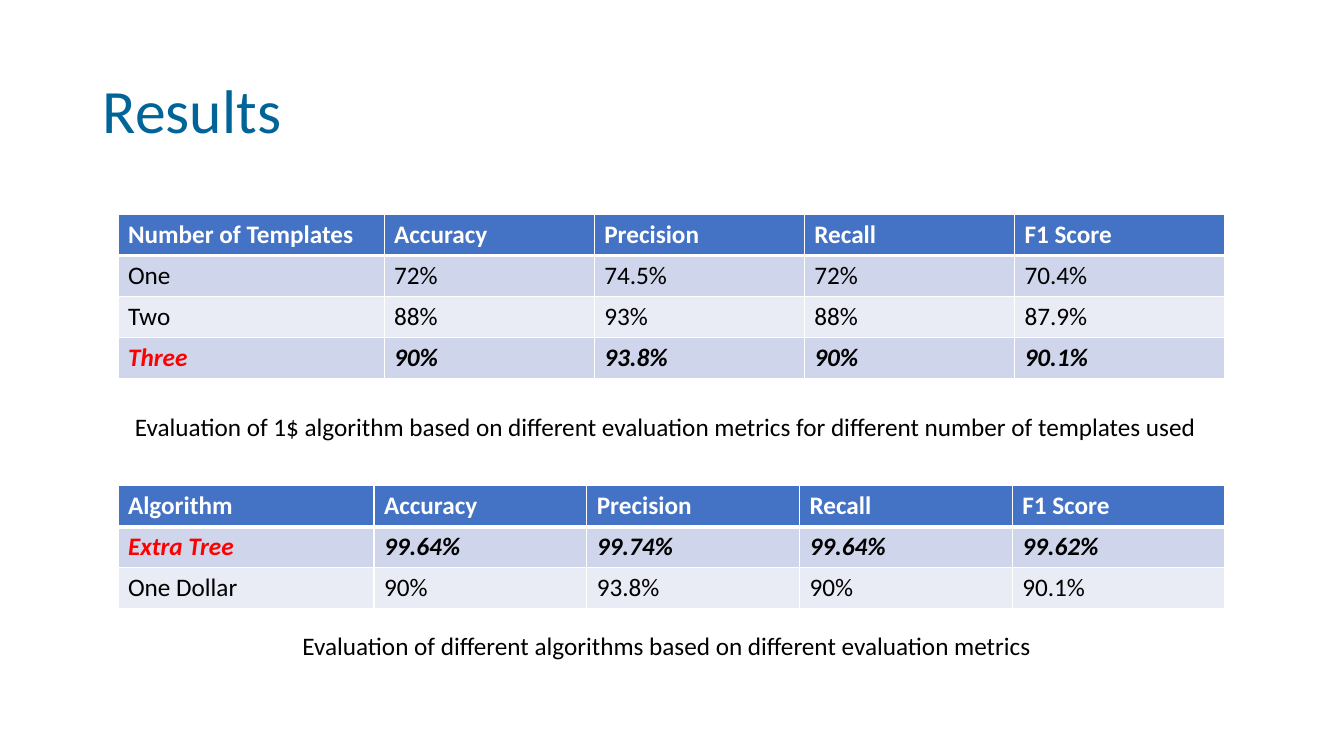
import pptx
import pptx.dml.color
import pptx.enum.text
import pptx.oxml
import pptx.oxml.ns
import pptx.util
from pptx.util import Inches

FONT = "Calibri"
WHITE, BLACK, RED = "FFFFFF", "000000", "FF0000"
TITLE_BLUE, HEADER_BLUE = "006499", "4472C4"
BANDS = ("CFD5EA", "E9EBF5")
ROW_HEIGHT = 0.406
TABLE_LEFT = 1.17
METRICS = ["Accuracy", "Precision", "Recall", "F1 Score"]

TEMPLATE_ROWS = [
    ["Number of Templates"] + METRICS,
    ["One", "72%", "74.5%", "72%", "70.4%"],
    ["Two", "88%", "93%", "88%", "87.9%"],
    ["Three", "90%", "93.8%", "90%", "90.1%"],
]
ALGORITHM_ROWS = [
    ["Algorithm"] + METRICS,
    ["Extra Tree", "99.64%", "99.74%", "99.64%", "99.62%"],
    ["One Dollar", "90%", "93.8%", "90%", "90.1%"],
]


def rgb(color):
    return pptx.dml.color.RGBColor.from_string(color)


def write(frame, text, color=BLACK, size=18, **formats):
    """Put one formatted paragraph in a text frame and return it."""
    para = frame.paragraphs[0]
    span = para.add_run()
    span.text = text
    values = {"name": FONT, "size": pptx.util.Pt(size), **formats}
    for name, value in values.items():
        setattr(span.font, name, value)
    span.font.color.rgb = rgb(color)
    return para


def add_title(page, text):
    title = page.shapes.title
    title.left, title.top = Inches(0.92), Inches(0.4)
    title.width, title.height = Inches(11.5), Inches(1.45)
    title.text_frame.vertical_anchor = pptx.enum.text.MSO_ANCHOR.MIDDLE
    para = write(title.text_frame, text, TITLE_BLUE, 44)
    para.alignment = pptx.enum.text.PP_ALIGN.LEFT
    para.line_spacing = 0.9


def add_caption(page, left, top, width, text):
    box = page.shapes.add_textbox(Inches(left), Inches(top), Inches(width), Inches(0.4))
    box.text_frame.word_wrap = False
    box.text_frame.auto_size = pptx.enum.text.MSO_AUTO_SIZE.SHAPE_TO_FIT_TEXT
    write(box.text_frame, text)


def set_borders(cell, widths):
    """Draw white borders; widths maps each side (L, R, T, B) to points."""
    properties = cell._tc.get_or_add_tcPr()
    namespace = pptx.oxml.ns.nsdecls("a")
    for side, points in widths.items():
        properties.append(pptx.oxml.parse_xml(
            f'<a:ln{side} {namespace} w="{pptx.util.Pt(points)}"><a:solidFill>'
            f'<a:srgbClr val="{WHITE}"/></a:solidFill></a:ln{side}>'))


def add_results_table(page, top, first_width, other_width, rows, best_row):
    """Add a banded table with one row in bold italics and its label in red."""
    widths = [first_width] + [other_width] * len(METRICS)
    frame = page.shapes.add_table(
        len(rows), len(widths), Inches(TABLE_LEFT), Inches(top),
        Inches(sum(widths)), Inches(ROW_HEIGHT * len(rows)))
    table = frame.table
    for column, width in zip(table.columns, widths):
        column.width = Inches(width)
    for r, values in enumerate(rows):
        table.rows[r].height = Inches(ROW_HEIGHT)
        header, best = r == 0, r == best_row
        for c, text in enumerate(values):
            cell = table.cell(r, c)
            set_borders(cell, {"L": 1, "R": 1, "T": 3 if r == 1 else 1, "B": 3 if header else 1})
            cell.fill.solid()
            cell.fill.fore_color.rgb = rgb(HEADER_BLUE if header else BANDS[(r - 1) % 2])
            color = WHITE if header else RED if best and c == 0 else BLACK
            write(cell.text_frame, text, color, bold=header or best, italic=best)


def main():
    deck = pptx.Presentation()
    deck.slide_width, deck.slide_height = Inches(13.33), Inches(7.5)
    page = deck.slides.add_slide(deck.slide_layouts.get_by_name("Title Only"))
    add_title(page, "Results")
    add_results_table(page, 2.13, 2.64, 2.084, TEMPLATE_ROWS, best_row=3)
    add_caption(page, 1.24, 4.03, 10.86,
                "Evaluation of 1$ algorithm based on different evaluation metrics "
                "for different number of templates used")
    add_results_table(page, 4.82, 2.54, 2.11, ALGORITHM_ROWS, best_row=1)
    add_caption(page, 2.9, 6.2, 7.52,
                "Evaluation of different algorithms based on different evaluation metrics")
    deck.save("out.pptx")


if __name__ == "__main__":
    main()
